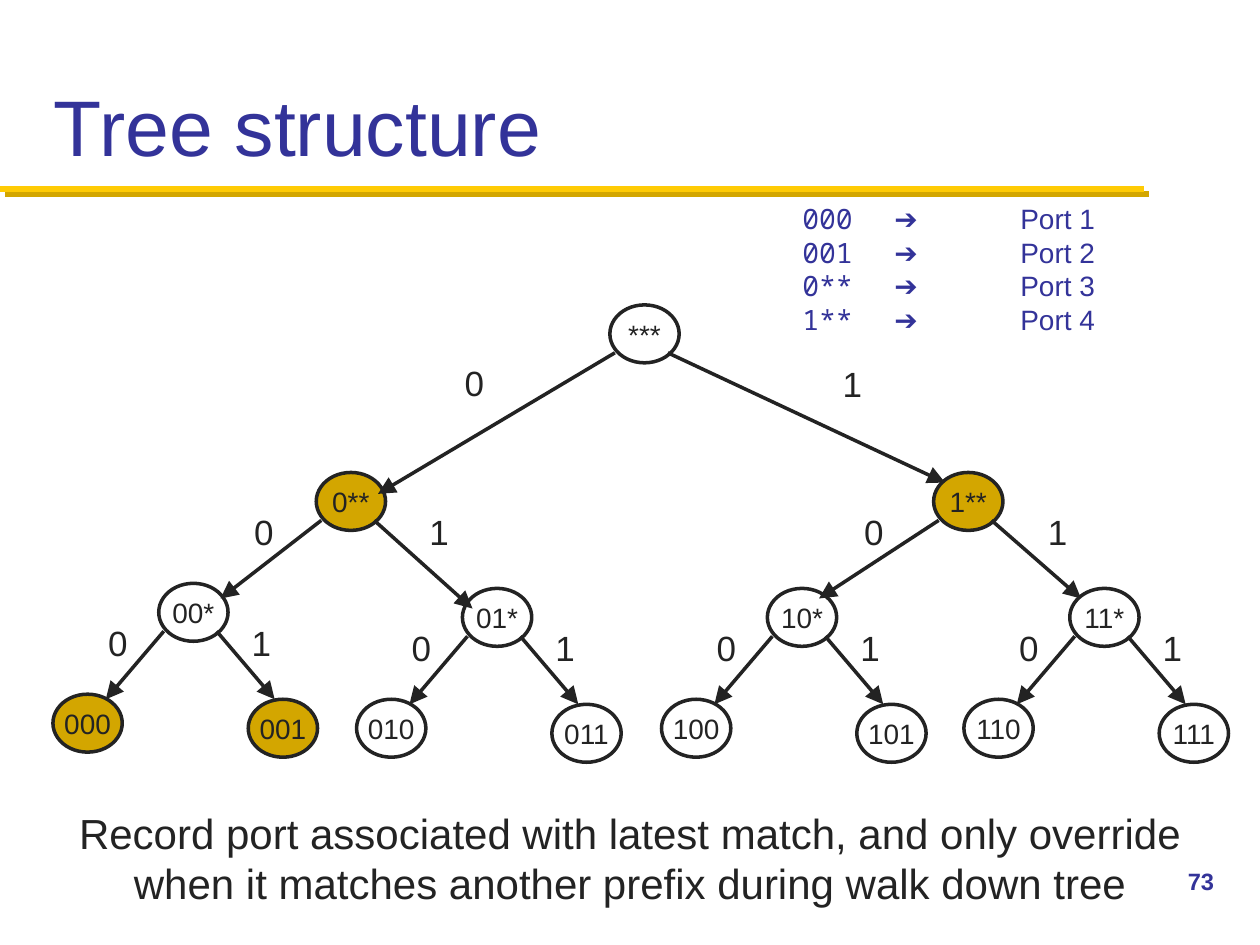
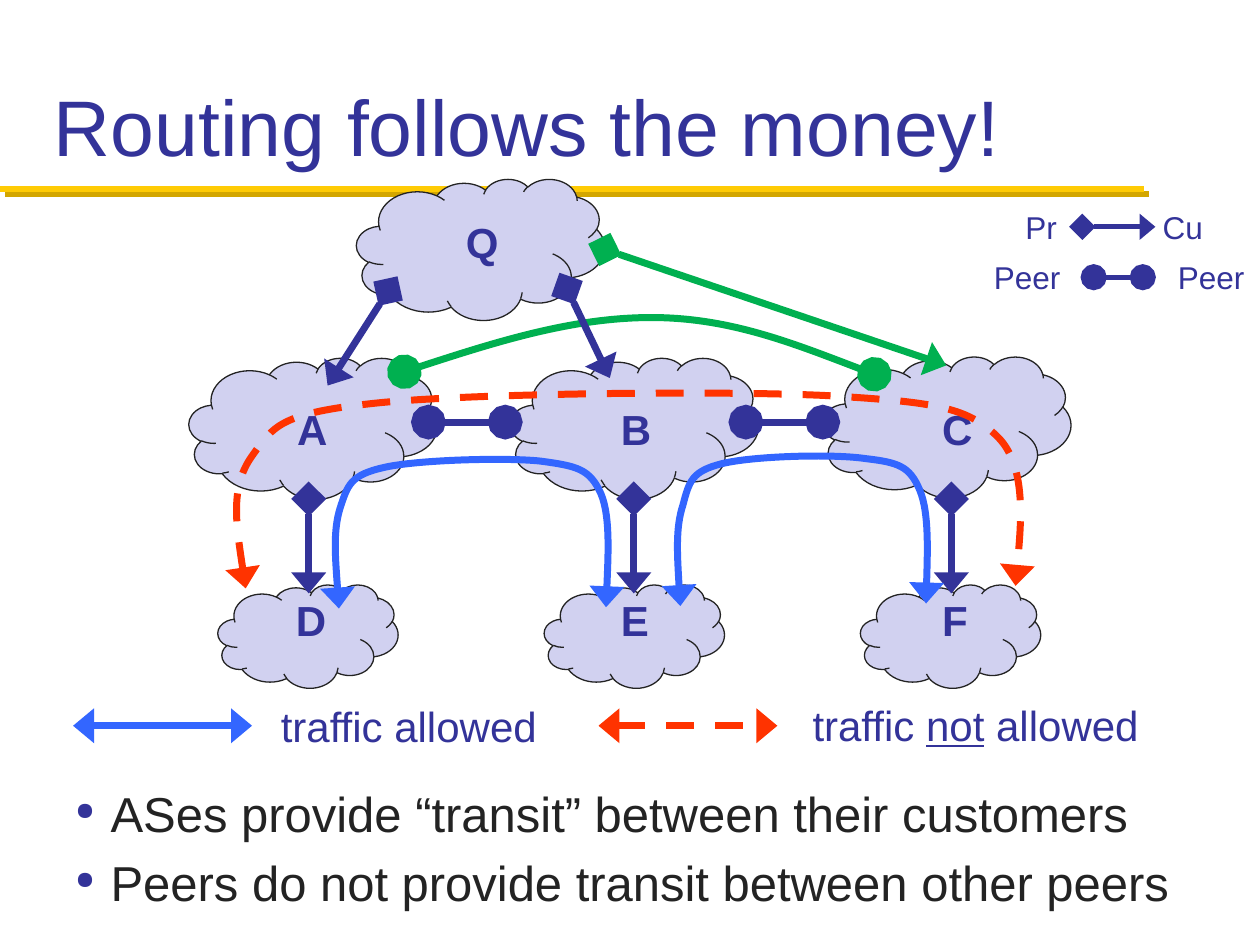
"""Build two lecture slides: a prefix tree and the money-driven routing diagram."""
from lxml import etree
from pptx import Presentation
from pptx.dml.color import RGBColor
from pptx.enum.dml import MSO_LINE
from pptx.enum.shapes import MSO_CONNECTOR, MSO_SHAPE
from pptx.enum.text import MSO_ANCHOR, MSO_AUTO_SIZE, PP_ALIGN
from pptx.oxml.ns import qn
from pptx.util import Pt

EMU_PER_PX = 9144
STRAIGHT = MSO_CONNECTOR.STRAIGHT
ELLIPSE, CLOUD = MSO_SHAPE.OVAL, MSO_SHAPE.CLOUD
DASH = MSO_LINE.DASH
CENTER = PP_ALIGN.CENTER
MIDDLE, BOTTOM = MSO_ANCHOR.MIDDLE, MSO_ANCHOR.BOTTOM
GROW = MSO_AUTO_SIZE.SHAPE_TO_FIT_TEXT
SANS, MONO = "Arial", "Noto Sans Mono"

COLORS = {
    "white": "FFFFFF", "ink": "232323", "title": "333399", "yellow": "FFCB05",
    "gold": "D3A600", "cloud": "D1D1F0", "allowed": "3366FF",
    "forbidden": "FF3300", "extra": "00B050",
}
LINE_ENDS = {
    "arrow": ("triangle", "lg"), "short arrow": ("triangle", "med"),
    "diamond": ("diamond", "lg"), "oval": ("oval", "lg"),
}
PROVIDER = ("diamond", "short arrow")
PEERS = ("oval", "oval")
TRAFFIC = ("short arrow", "short arrow")

PORTS = {"000": "Port 1", "001": "Port 2", "0**": "Port 3", "1**": "Port 4"}
NODE_SIZE = (55, 46)
LOWER_FORKS = {"00": (126, 463), "01": (367, 467), "11": (849, 467), "10": (609, 467)}
UPPER_FORKS = [
    ("0**", (251, 375), [(175, 475), (375, 483)], [(183, 400), (322, 400)]),
    ("1**", (741, 375), [(650, 475), (858, 475)], [(667, 400), (813, 400)]),
    ("***", (484, 242), [(300, 392), (750, 383)], [(350, 282), (650, 283)]),
]

SMALL_CLOUD, LARGE_CLOUD = (143, 82), (197, 112)
NETWORKS = [
    ("D", (173, 464), SMALL_CLOUD, (225, 467, 37, 37)),
    ("E", (432, 464), SMALL_CLOUD, (483, 467, 37, 37)),
    ("F", (683, 464), SMALL_CLOUD, (738, 467, 37, 37)),
    ("A", (150, 284), LARGE_CLOUD, (226, 315, 39, 37)),
    ("B", (405, 284), LARGE_CLOUD, (483, 315, 37, 37)),
    ("C", (653, 283), LARGE_CLOUD, (738, 315, 37, 37)),
    ("Q", (283, 142), LARGE_CLOUD, (360, 167, 40, 50)),
]
ROUTE_A_TO_B = [
    (269, 483), (267, 453), (264, 422), (270, 403), (276, 385), (278, 377), (305, 371),
    (331, 365), (401, 363), (429, 366), (458, 370), (468, 372), (477, 392),
    (485, 411), (481, 482), (481, 482),
]
ROUTE_B_TO_C = [
    (540, 481), (538, 450), (536, 419), (542, 401), (547, 382), (549, 374), (573, 368),
    (597, 362), (661, 360), (687, 364), (713, 367), (722, 370), (730, 389),
    (738, 408), (735, 479), (735, 479),
]
ROUTE_A_TO_C = [
    (195, 467), (189, 427), (182, 387), (200, 362), (217, 338), (222, 328), (298, 320),
    (374, 312), (573, 310), (656, 314), (738, 319), (767, 322), (792, 347),
    (817, 372), (806, 465), (806, 465),
]
PEERING_A_TO_C = [
    (321, 295), (388, 273), (455, 252), (517, 252), (579, 252), (636, 275), (694, 297),
]


def px(length):
    """Turn px into EMU."""
    return round(length * EMU_PER_PX)


def color(name):
    """Look up a colour by its name."""
    return RGBColor.from_string(COLORS[name])


def add_child(parent, tag, **attributes):
    """Append an XML element with the given attributes."""
    return etree.SubElement(parent, qn(tag), attributes)


def style(span, size, ink, bold=False, font=SANS):
    """Format one run."""
    span.font.name, span.font.size, span.font.bold = font, Pt(size), bold
    span.font.color.rgb = color(ink)


def write(frame, text, size, ink, bold=False, align=None, font=SANS):
    """Fill a text frame and format all its paragraphs."""
    frame.text = text
    for para in frame.paragraphs:
        para.alignment = align
        for span in para.runs:
            style(span, size, ink, bold, font)


def add_span(para, text, size, ink):
    """Append a formatted run to a paragraph."""
    span = para.add_run()
    span.text = text
    style(span, size, ink)
    return span


def add_text(page, place, text, size, ink="title", wrap=True, **options):
    """Add a text box; one that does not wrap grows with its text."""
    box = page.shapes.add_textbox(*map(px, place))
    frame = box.text_frame
    write(frame, text, size, ink, **options)
    frame.word_wrap = wrap
    if not wrap:
        frame.auto_size = GROW
    return frame


def stroke(shape, ink, width, ends=(None, None), dash=None):
    """Set the line colour, width, dash and end marks of a shape."""
    shape.line.color.rgb = color(ink)
    shape.line.width = Pt(width)
    if dash:
        shape.line.dash_style = dash
    outline = shape._element.spPr.find(qn("a:ln"))
    for tag, end in zip(("a:headEnd", "a:tailEnd"), ends):
        if end:
            kind, length = LINE_ENDS[end]
            add_child(outline, tag, type=kind, w="lg", len=length)


def add_line(page, start, stop, ink, width, **options):
    """Add a straight line and return its effect list."""
    line = page.shapes.add_connector(STRAIGHT, *map(px, start + stop))
    stroke(line, ink, width, **options)
    return add_child(line._element.spPr, "a:effectLst")


def add_curve(page, points, ink, width, **options):
    """Add an open Bezier curve: a start, then triples of control points."""
    builder = page.shapes.build_freeform(*points[0], scale=EMU_PER_PX)
    builder.add_line_segments(points[1:], close=False)
    curve = builder.convert_to_shape()
    segments = list(curve._element.iter(qn("a:lnTo")))
    for first in range(0, len(segments), 3):
        bezier = etree.Element(qn("a:cubicBezTo"))
        segments[first].addprevious(bezier)
        for segment in segments[first:first + 3]:
            bezier.append(segment[0])
            segment.getparent().remove(segment)
    curve.fill.background()
    curve.shadow.inherit = False
    stroke(curve, ink, width, **options)


def add_outline(page, kind, place, size, fill, width):
    """Add a filled preset shape with a dark outline."""
    shape = page.shapes.add_shape(kind, *map(px, place + size))
    shape.shadow.inherit = False
    shape.fill.solid()
    shape.fill.fore_color.rgb = color(fill)
    stroke(shape, "ink", width)
    return shape


def add_page(deck, title):
    """Add a slide with the shared title and yellow rule."""
    page = deck.slides.add_slide(deck.slide_layouts[6])
    effects = add_line(page, (0, 150), (908, 150), "yellow", 3.5)
    shadow = add_child(effects, "a:outerShdw", blurRad="0", dist=str(Pt(4.2)),
                       dir="2700000", algn="ctr", rotWithShape="0")
    add_child(shadow, "a:srgbClr", val=COLORS["gold"])
    add_text(page, (33, 17, 933, 125), title, 45).vertical_anchor = BOTTOM
    return page


def add_node(page, prefix, place):
    """Add a tree node, gold when a port is recorded for its prefix."""
    fill = "gold" if prefix in PORTS else "white"
    frame = add_outline(page, ELLIPSE, place, NODE_SIZE, fill, 2).text_frame
    write(frame, prefix, 16, "ink", align=CENTER)
    frame.vertical_anchor, frame.word_wrap = MIDDLE, False


def add_fork(page, prefix, place, tips, labels):
    """Add a node with its two outgoing arrows labelled 0 and 1."""
    x, y = place
    add_node(page, prefix, place)
    for bit, (offset, tip, label) in enumerate(zip((4, 46), tips, labels)):
        add_line(page, (x + offset, y + 38), tip, "ink", 2, ends=(None, "arrow"))
        add_text(page, label + (53, 43), str(bit), 20, "ink", align=CENTER)


def add_port_list(page):
    """Add the list of prefixes and their ports."""
    lines = "\n".join(prefix + "\t" for prefix in PORTS)
    frame = add_text(page, (627, 155, 331, 120), lines, 16, font=MONO)
    for para, port in zip(frame.paragraphs, PORTS.values()):
        add_span(para, "➔\t" + port, 16, "title")
        tabs = add_child(para._p.get_or_add_pPr(), "a:tabLst")
        for stop in (73, 173):
            add_child(tabs, "a:tab", pos=str(px(stop)), algn="l")


def add_bullets(page, place, lines):
    """Add a bulleted list."""
    frame = add_text(page, place, "\n".join(lines), 28, "ink")
    for para in frame.paragraphs:
        properties = para._p.get_or_add_pPr()
        properties.set("marL", str(px(28)))
        properties.set("indent", str(px(-28)))
        add_child(add_child(properties, "a:spcBef"), "a:spcPct", val="20000")
        add_child(add_child(properties, "a:buClr"), "a:srgbClr", val=COLORS["title"])
        add_child(properties, "a:buSzPct", val="50000")
        add_child(properties, "a:buChar", char="●")


def build_tree(deck):
    """Build the prefix tree slide."""
    page = add_page(deck, "Tree structure")
    add_text(page, (933, 683, 67, 50), "73", 13.5, bold=True)
    for stem, (x, y) in LOWER_FORKS.items():
        add_node(page, stem + "0", (x - 84, y + 88))
        add_node(page, stem + "1", (x + 71, y + 92))
        add_fork(page, stem + "*", (x, y), [(x - 42, y + 92), (x + 92, y + 92)],
                 [(x - 59, y + 25), (x + 55, y + 25)])
    for fork in UPPER_FORKS:
        add_fork(page, *fork)
    add_port_list(page)
    add_text(page, (48, 636, 904, 91),
             "Record port associated with latest match, and only override "
             "when it matches another prefix during walk down tree",
             24, "ink", align=CENTER)


def add_relation_key(page):
    """Explain the provider and peer line ends."""
    add_line(page, (859, 180), (917, 180), "title", 3, ends=PROVIDER)
    add_line(page, (868, 220), (907, 220), "title", 3, ends=PEERS)
    for text, x, y, width in [("Pr", 804, 160, 47), ("Cu", 913, 160, 54),
                              ("Peer", 779, 200, 75), ("Peer", 925, 200, 75)]:
        add_text(page, (x, y, width, 40), text, 18, wrap=False)


def add_traffic_key(page):
    """Explain the traffic colours."""
    add_line(page, (58, 576), (200, 576), "allowed", 4, ends=TRAFFIC)
    add_text(page, (213, 551, 225, 51), "traffic allowed", 24, wrap=False)
    add_line(page, (475, 576), (617, 576), "forbidden", 4, ends=TRAFFIC, dash=DASH)
    para = add_text(page, (635, 550, 281, 51), "traffic ", 24, wrap=False).paragraphs[0]
    add_span(para, "not", 24, "title").font.underline = True
    add_span(para, " allowed", 24, "title")


def build_routing(deck):
    """Build the routing slide."""
    page = add_page(deck, "Routing follows the money!")
    for letter, place, size, letter_place in NETWORKS:
        add_outline(page, CLOUD, place, size, "cloud", 0.75)
        add_text(page, letter_place, letter, 24, bold=True, wrap=False)
    for left, right in [(340, 401), (592, 653)]:
        add_line(page, (left, 335), (right, 335), "title", 4, ends=PEERS)
    for x in (245, 503, 755):
        add_line(page, (x, 396), (x, 471), "title", 4, ends=PROVIDER)
    add_line(page, (308, 231), (260, 306), "title", 4, ends=PROVIDER)
    add_relation_key(page)
    add_curve(page, ROUTE_A_TO_B, "allowed", 4, ends=TRAFFIC)
    add_curve(page, ROUTE_B_TO_C, "allowed", 4, ends=TRAFFIC)
    add_curve(page, ROUTE_A_TO_C, "forbidden", 4, ends=TRAFFIC, dash=DASH)
    add_traffic_key(page)
    add_bullets(page, (50, 617, 900, 117),
                ["ASes provide “transit” between their customers",
                 "Peers do not provide transit between other peers"])
    add_line(page, (480, 198), (751, 290), "extra", 4, ends=PROVIDER)
    add_curve(page, PEERING_A_TO_C, "extra", 4, ends=PEERS)
    add_line(page, (450, 229), (484, 300), "title", 4, ends=PROVIDER)


def main():
    """Build and save the deck."""
    deck = Presentation()
    deck.slide_width, deck.slide_height = px(1000), px(750)
    build_tree(deck)
    build_routing(deck)
    deck.save("out.pptx")


if __name__ == "__main__":
    main()
